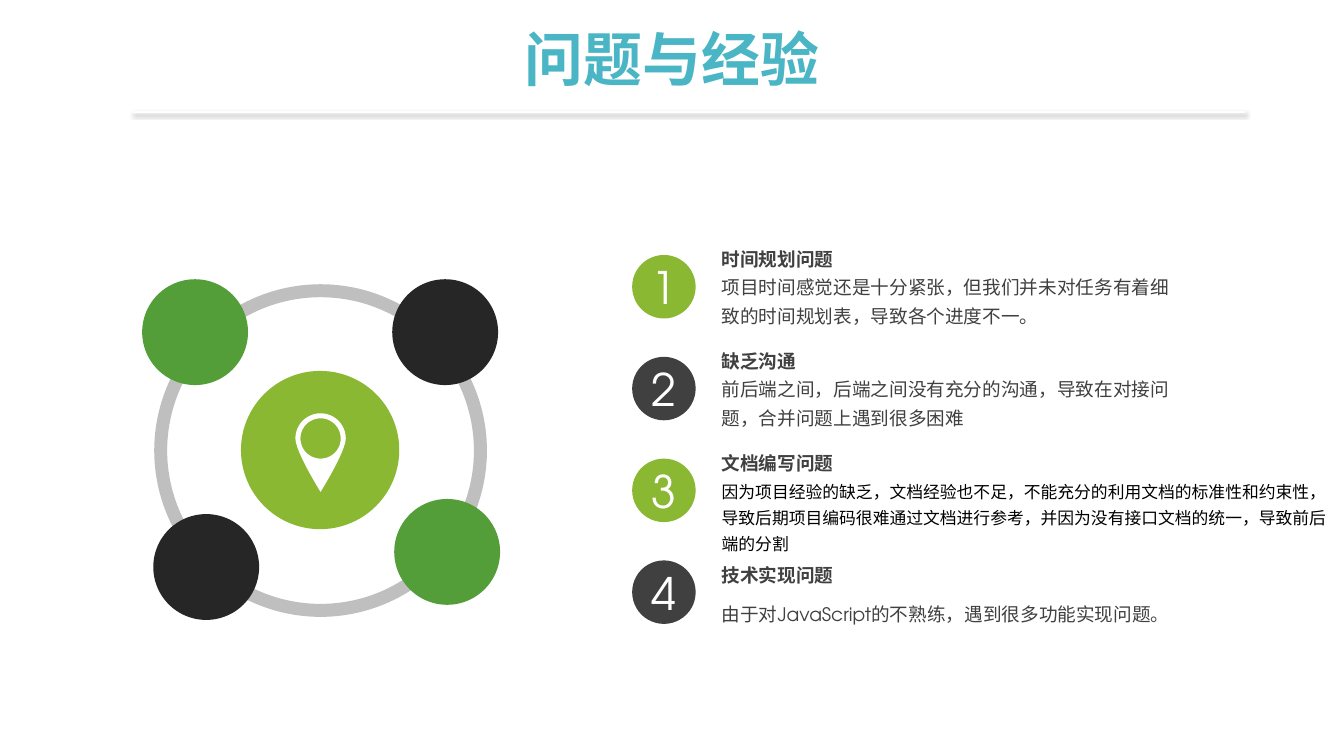
import math
from lxml import etree
from pptx import Presentation
from pptx.dml.color import RGBColor
from pptx.enum.shapes import MSO_CONNECTOR, MSO_SHAPE
from pptx.enum.text import MSO_ANCHOR, MSO_AUTO_SIZE, PP_ALIGN
from pptx.oxml import parse_xml
from pptx.oxml.ns import qn
from pptx.util import Inches, Pt

OVAL, DONUT = MSO_SHAPE.OVAL, MSO_SHAPE.DONUT
CENTER, LEFT = PP_ALIGN.CENTER, PP_ALIGN.LEFT
MIDDLE, TOP = MSO_ANCHOR.MIDDLE, MSO_ANCHOR.TOP
LATIN_FONT, CHINESE_FONT = "TeX Gyre Adventor", "Noto Sans CJK SC"
LIME, GREEN, BLACK, GRAY = "8AB833", "549E39", "262626", "404040"
WHITE, RING_GRAY, TEAL = "FFFFFF", "BFBFBF", "4AB5C4"

# Rows of the numbered list, in inches
FIRST_ROW, ROW_PITCH = 2.3, 1.01
NUMBER_LEFT, TEXT_LEFT = 6.27, 7.06
HEADING = {"size": Pt(13.3), "bold": True, "name": LATIN_FONT}
BODY = {"size": Pt(13.3), "bold": False, "name": LATIN_FONT}
SMALL = {"size": Pt(12), "bold": False, "name": CHINESE_FONT}


def add_filled(kind, left, top, size, color):
    shape = slide.shapes.add_shape(kind, *map(Inches, (left, top, size, size)))
    shape.shadow.inherit = False
    shape.fill.solid()
    shape.fill.fore_color.rgb = RGBColor.from_string(color)
    shape.line.fill.background()
    return shape


def write(shape, lines, color, values, alignment=LEFT, spacing=1.0, anchor=TOP):
    """Fill the shape with one paragraph per line, all in one format."""
    frame = shape.text_frame
    frame.word_wrap = True
    frame.vertical_anchor = anchor
    frame.text = "\n".join(lines)
    for paragraph in frame.paragraphs:
        paragraph.alignment = alignment
        paragraph.line_spacing = spacing
        font = paragraph.runs[0].font
        for name, value in values.items():
            setattr(font, name, value)
        font.color.rgb = RGBColor.from_string(color)
        properties = paragraph.runs[0]._r.get_or_add_rPr()
        etree.SubElement(properties, qn("a:ea"), typeface=CHINESE_FONT)
    return frame


presentation = Presentation()
presentation.slide_width, presentation.slide_height = Inches(13.33), Inches(7.5)
slide = presentation.slides.add_slide(presentation.slide_layouts[5])

# Title and the rule below it
title = slide.shapes.title
title.left, title.top, title.width, title.height = map(Inches, (2.12, 0.17, 9.09, 0.81))
write(title, ["问题与经验"], TEAL, {"size": Pt(42), "bold": True, "name": LATIN_FONT},
      CENTER, anchor=MIDDLE)

rule = slide.shapes.add_connector(MSO_CONNECTOR.STRAIGHT, *map(Inches, (1.32, 1.11, 12.35, 1.11)))
rule.line.color.rgb = RGBColor.from_string(WHITE)
rule.line.width = Pt(1)
rule._element.spPr.append(parse_xml(
    '<a:effectLst xmlns:a="http://schemas.openxmlformats.org/drawingml/2006/main">'
    f'<a:outerShdw blurRad="{Pt(3.1)}" dist="{Pt(1.6)}" dir="5400000" algn="t" rotWithShape="0">'
    '<a:srgbClr val="000000"><a:alpha val="38000"/></a:srgbClr>'
    '</a:outerShdw></a:effectLst>'))

# Ring with four satellites and a hub
ring = add_filled(DONUT, 1.53, 2.82, 3.3, RING_GRAY)
ring.adjustments[0] = 0.039
for left, top, color in [(1.41, 2.77, GREEN), (3.89, 2.77, BLACK),
                         (3.91, 4.95, GREEN), (1.52, 5.1, BLACK)]:
    add_filled(OVAL, left, top, 1.05, color)
add_filled(OVAL, 2.39, 3.68, 1.57, LIME)

# Map pin: a half circle running down to a tip, with a round hole.
# Lengths are in EMU, as the freeform builder rounds to whole units.
pin_x, pin_y, pin_radius, hole_radius, shoulder_y, tip_y = map(
    Inches, (3.18, 4.35, 0.25, 0.2, 4.48, 4.88))
arc = [(pin_x - pin_radius * math.cos(math.pi * i / 24),
        pin_y - pin_radius * math.sin(math.pi * i / 24)) for i in range(25)]
right_side = []
for i in range(1, 13):
    t = i / 12
    start, shoulder, tip = (1 - t) ** 3, 3 * t * (1 - t) ** 2, t * t * (3 - 2 * t)
    right_side.append((pin_x + pin_radius * (start + shoulder),
                       pin_y * start + shoulder_y * shoulder + tip_y * tip))
left_side = [(2 * pin_x - x, y) for x, y in reversed(right_side[:-1])]
hole = [(pin_x + hole_radius * math.cos(math.tau * i / 48),
         pin_y - hole_radius * math.sin(math.tau * i / 48)) for i in range(48)]
outline = arc + right_side + left_side
builder = slide.shapes.build_freeform(*outline[0])
builder.add_line_segments(outline[1:], close=True)
builder.move_to(*hole[0])
builder.add_line_segments(hole[1:], close=True)
pin = builder.convert_to_shape()
pin.shadow.inherit = False
pin.fill.solid()
pin.fill.fore_color.rgb = RGBColor.from_string(WHITE)
pin.line.fill.background()

# Numbered list: heading, heading shift, text lines, text offset, width, height, format, colour
problems = [
    ("时间规划问题", 0, ["项目时间感觉还是十分紧张，但我们并未对任务有着细致的时间规划表，导致各个进度不一。"],
     0.32, 4.79, 0.69, BODY, GRAY),
    ("缺乏沟通", 0, ["前后端之间，后端之间没有充分的沟通，导致在对接问题，合并问题上遇到很多困难"],
     0.32, 4.79, 0.69, BODY, GRAY),
    ("文档编写问题", 0, ["因为项目经验的缺乏，文档经验也不足，不能充分的利用文档的标准性和约束性，",
                   "导致后期项目编码很难通过文档进行参考，并因为没有接口文档的统一，导致前后",
                   "端的分割"],
     0.35, 6.2, 0.89, SMALL, "000000"),
    ("技术实现问题", 0.1, ["由于对JavaScript的不熟练，遇到很多功能实现问题。"],
     0.54, 4.79, 0.39, BODY, GRAY),
]
for row, (heading, shift, lines, offset, width, height, values, color) in enumerate(problems):
    top = FIRST_ROW + row * ROW_PITCH
    number = add_filled(OVAL, NUMBER_LEFT, top + 0.23, 0.63, (LIME, GRAY)[row % 2])
    frame = write(number, [str(row + 1)], WHITE, {"size": Pt(32), "name": LATIN_FONT},
                  CENTER, anchor=MIDDLE)
    for side in ("left", "right", "top", "bottom"):
        setattr(frame, f"margin_{side}", 0)

    heading_box = slide.shapes.add_textbox(*map(Inches, (TEXT_LEFT, top + shift, 3.32, 0.44)))
    heading_frame = write(heading_box, [heading], GRAY, HEADING, spacing=1.5)
    text_box = slide.shapes.add_textbox(*map(Inches, (TEXT_LEFT, top + offset, width, height)))
    text_frame = write(text_box, lines, color, values, spacing=1.3)
    text_frame.word_wrap = values is not SMALL
    for frame in (heading_frame, text_frame):
        frame.auto_size = MSO_AUTO_SIZE.SHAPE_TO_FIT_TEXT

presentation.save("out.pptx")
